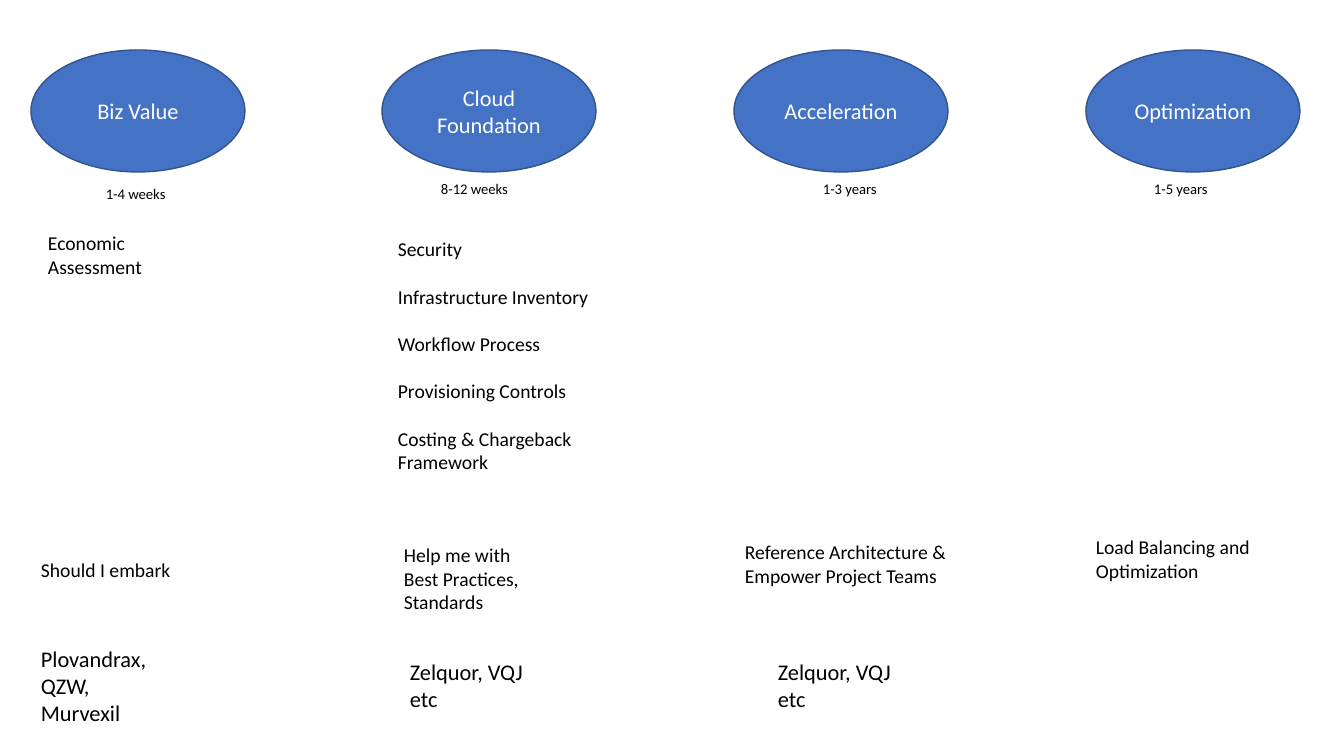
from pptx import Presentation
from pptx.dml.color import RGBColor
from pptx.enum.shapes import MSO_SHAPE as Shape
from pptx.enum.text import MSO_ANCHOR as Anchor, PP_ALIGN as Align
from pptx.util import Pt

EMU_PER_PIXEL = 914400 / 100.8
BLUE = RGBColor(0x44, 0x72, 0xC4)
DARK_BLUE = RGBColor(0x32, 0x54, 0x91)
WHITE = RGBColor(0xFF, 0xFF, 0xFF)
BLACK = RGBColor(0, 0, 0)


def px(*lengths):
    return [round(length * EMU_PER_PIXEL) for length in lengths]


def write(box, lines, size, color=BLACK, align=Align.LEFT, anchor=Anchor.TOP, wrap=True):
    frame = box.text_frame
    frame.word_wrap = wrap
    frame.vertical_anchor = anchor
    for index, line in enumerate(lines):
        para = frame.add_paragraph() if index else frame.paragraphs[0]
        para.alignment = align
        span = para.add_run()
        span.text = line
        span.font.name = "Calibri"
        span.font.size = Pt(size)
        span.font.color.rgb = color
    return frame


deck = Presentation()
deck.slide_width, deck.slide_height = px(1344, 756)
page = deck.slides.add_slide(deck.slide_layouts[6])

# Phases, evenly spread across the page
phases = ["Biz Value", "Cloud Foundation", "Acceleration", "Optimization"]
for column, phase in enumerate(phases):
    oval = page.shapes.add_shape(Shape.OVAL, *px(31 + 1055 * column // 3, 50, 214, 122))
    oval.shadow.inherit = False
    oval.fill.solid()
    oval.fill.fore_color.rgb = BLUE
    oval.line.color.rgb = DARK_BLUE
    oval.line.width = Pt(1)
    write(oval, [phase], 16, WHITE, Align.CENTER, Anchor.MIDDLE)

# Activities
assessment = page.shapes.add_textbox(*px(38, 229, 186, 51))
write(assessment, ["Economic Assessment"], 14, anchor=Anchor.MIDDLE)

activities = ["Security", "Infrastructure Inventory", "Workflow Process",
              "Provisioning Controls", "Costing & Chargeback", "Framework"]
foundation = page.shapes.add_textbox(*px(388, 206, 227, 299))
frame = write(foundation, activities, 14, anchor=Anchor.MIDDLE)
for para in frame.paragraphs[1:-1]:
    para.space_before = Pt(17)

# Durations, questions and partners: text, size, wrap, left, top, width, height
notes = [
    (["1-4 weeks"], 10.5, False, 96, 180, 85, 29),
    (["8-12 weeks"], 10.5, False, 431, 175, 89, 28),
    (["1-3 years"], 10.5, False, 813, 175, 76, 28),
    (["1-5 years"], 10.5, False, 1144, 175, 76, 28),
    (["Should I embark"], 14, False, 31, 553, 151, 34),
    (["Help me with Best Practices, Standards"], 14, True, 394, 538, 157, 82),
    (["Reference Architecture & Empower Project Teams"], 14, True, 735, 535, 271, 57),
    (["Load Balancing and Optimization"], 14, True, 1086, 530, 214, 57),
    (["Plovandrax, QZW,", "Murvexil"], 16, True, 31, 640, 145, 92),
    (["Zelquor, VQJ etc"], 16, True, 400, 653, 145, 65),
    (["Zelquor, VQJ etc"], 16, True, 768, 653, 145, 65),
]
for lines, size, wrap, *place in notes:
    write(page.shapes.add_textbox(*px(*place)), lines, size, wrap=wrap)

deck.save("out.pptx")
